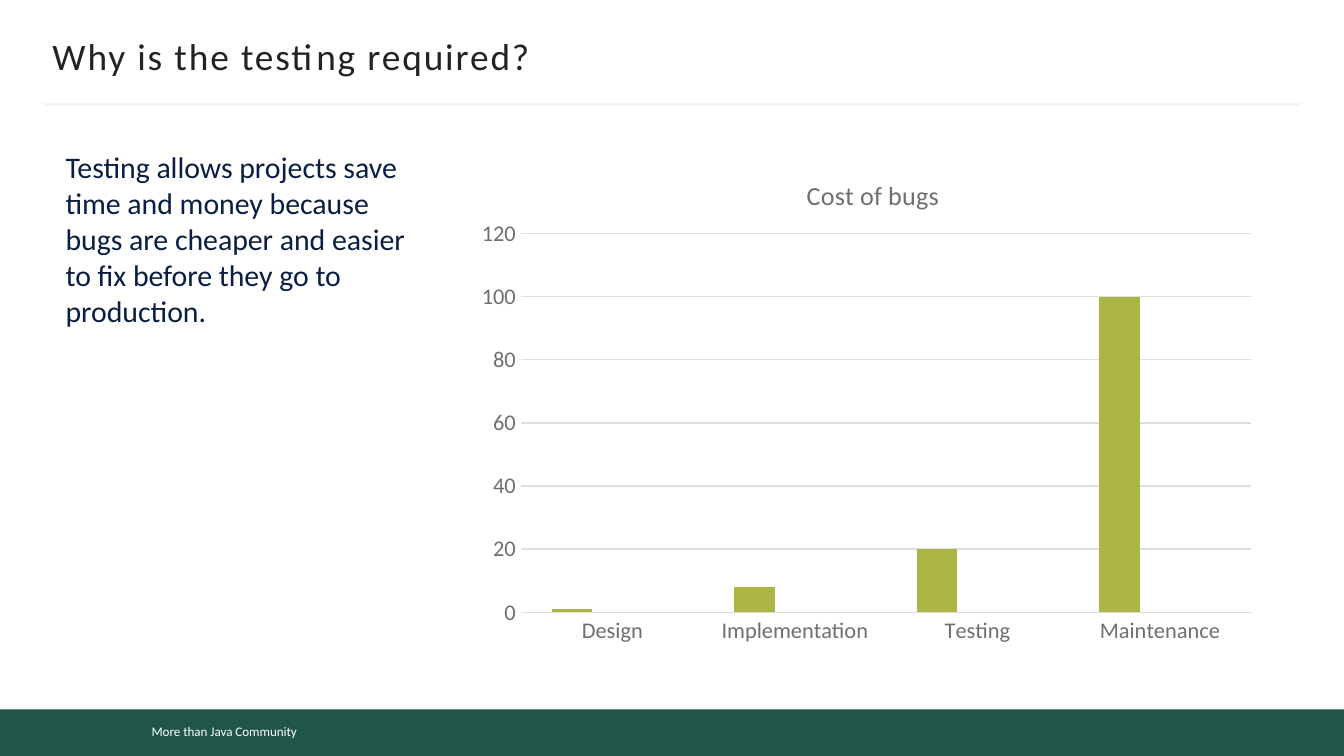
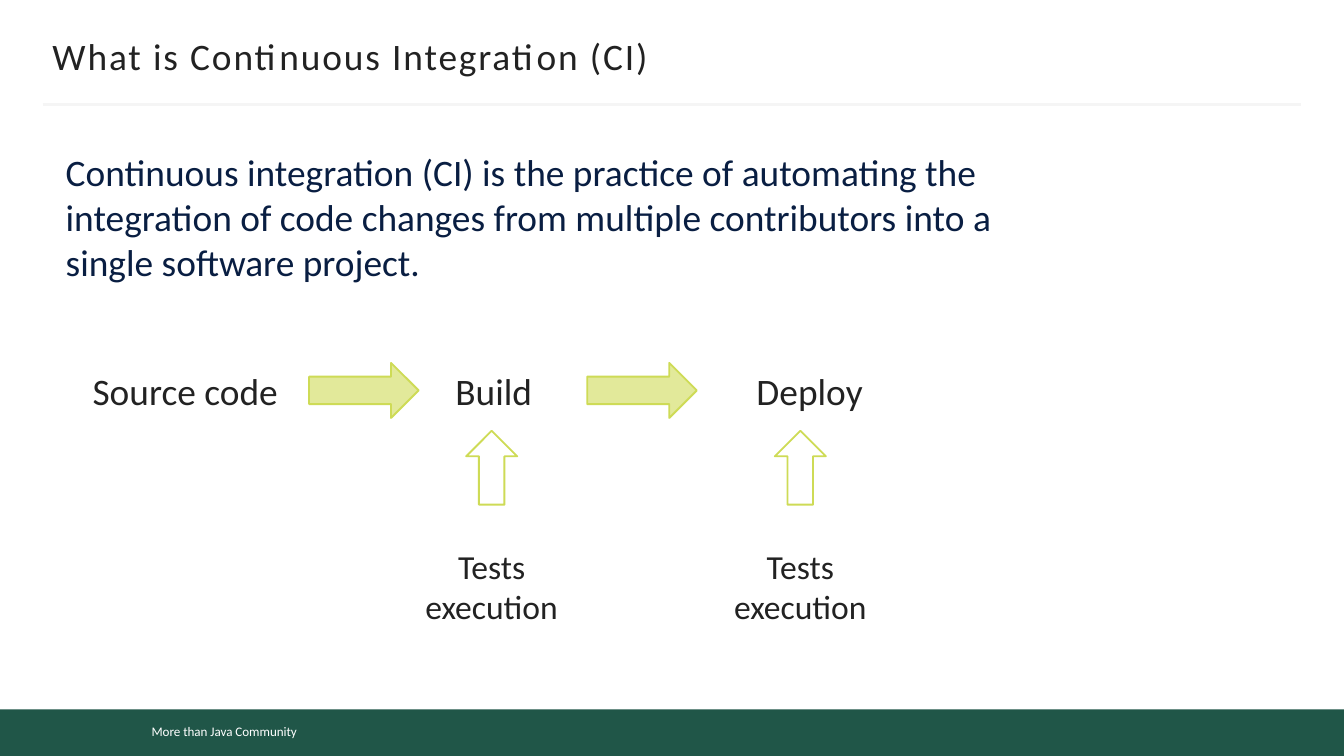
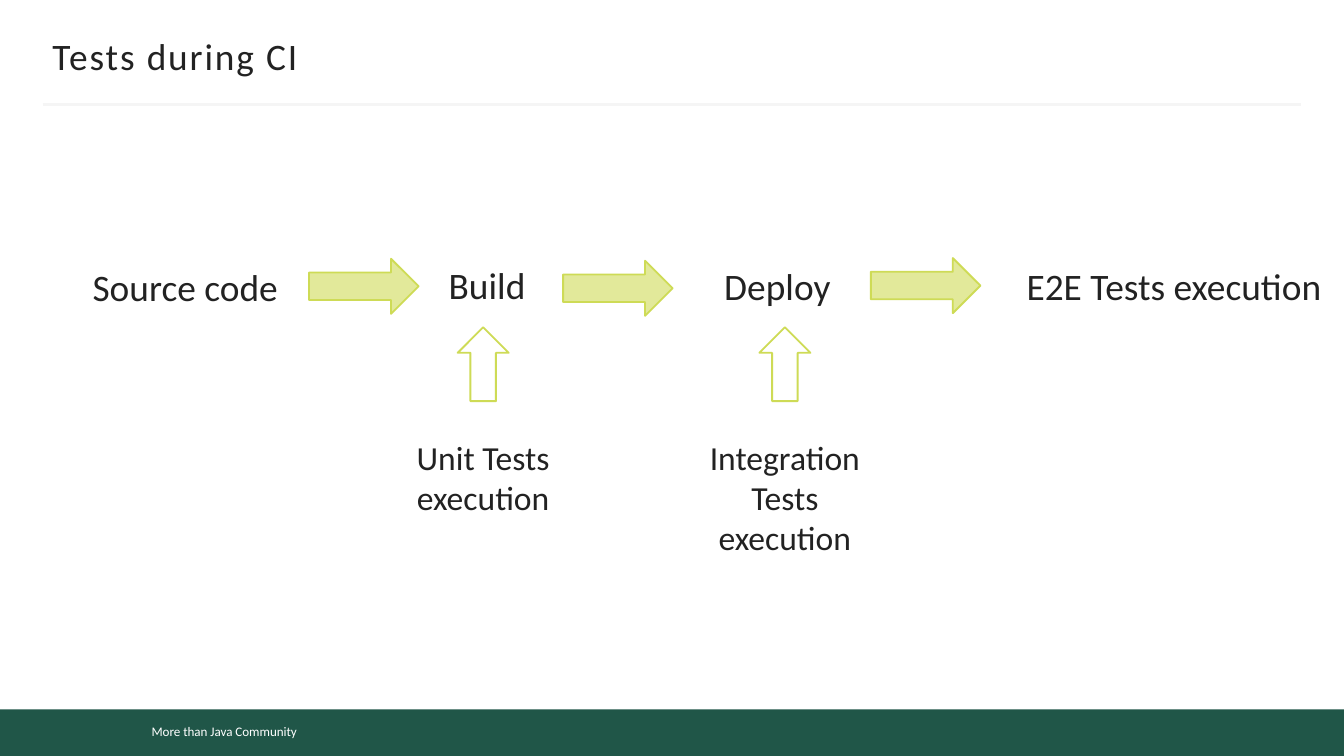
"""Build three slides on testing and continuous integration."""
from dataclasses import dataclass

from lxml.etree import SubElement
from pptx import Presentation
from pptx.chart.data import CategoryChartData as ChartData
from pptx.dml.color import RGBColor as Rgb
from pptx.enum.chart import XL_CHART_TYPE as Kind, XL_TICK_MARK as Tick
from pptx.enum.shapes import MSO_CONNECTOR as Link, MSO_SHAPE as Form
from pptx.enum.text import MSO_ANCHOR as Anchor, MSO_AUTO_SIZE as Fit, PP_ALIGN as Align
from pptx.oxml.ns import qn
from pptx.util import Pt


@dataclass(frozen=True)
class Theme:
    font: str = "Calibri"
    ink: str = "222222"
    navy: str = "091E42"
    white: str = "FFFFFF"
    band: str = "205648"
    rule: str = "F5F5F5"
    edge: str = "CEDB56"
    lime: str = "E2E99A"
    gray: str = "6F6F6F"
    grid: str = "DEDEDE"
    bars: tuple = ("ABB647", "CEDB56", "E1E8AC")
    head: int = 20
    body: int = 16
    note: int = 18
    title: int = 14
    label: int = 12
    foot: int = 7


class Deck:
    def __init__(self, theme):
        self.theme = theme
        self.show = Presentation()
        self.show.slide_width, self.show.slide_height = Pt(720), Pt(405)
        self.slide = None

    def page(self, title):
        first = self.slide is None
        layout = self.show.slide_layouts[5]
        self.slide = self.show.slides.add_slide(layout)
        if first:
            self.frame(layout)
        box = self.slide.shapes.title
        box.left, box.top, box.width, box.height = Pt(28.08), Pt(18), Pt(663.84), Pt(23.76)
        frame = box.text_frame
        frame.margin_left = frame.margin_right = 0
        frame.vertical_anchor = Anchor.MIDDLE
        self.label(frame, title, self.theme.head, self.theme.ink)
        frame.auto_size, frame.word_wrap = Fit.NONE, False
        frame.paragraphs[0].font._rPr.set("spc", "100")

    def frame(self, layout):
        look = self.theme
        band = self.shape(Form.RECTANGLE, 0, 380, 720, 25, look.band)
        foot = self.shape(Form.RECTANGLE, 74.16, 383.76, 190.8, 15.84, look.band)
        self.label(foot.text_frame, "More than Java Community", look.foot, look.white)
        rule = self.line(23.04, 56.16, 696.96, 56.16)
        for part in (band, foot, rule):
            layout.shapes.element.append(part.element)

    def style(self, font, size, color):
        font.name, font.size = self.theme.font, Pt(size)
        font.color.rgb = Rgb.from_string(color)

    def label(self, frame, words, size, color, align=Align.LEFT):
        frame.text, frame.word_wrap = words, True
        para = frame.paragraphs[0]
        para.alignment = align
        self.style(para.font, size, color)

    def text(self, words, x, y, w, h, size=None, color=None, align=Align.LEFT):
        box = self.slide.shapes.add_textbox(Pt(x), Pt(y), Pt(w), Pt(h))
        self.label(box.text_frame, words, size or self.theme.head,
                   color or self.theme.ink, align)
        box.text_frame.auto_size = Fit.SHAPE_TO_FIT_TEXT

    def shape(self, form, x, y, w, h, fill, edge=None):
        item = self.slide.shapes.add_shape(form, Pt(x), Pt(y), Pt(w), Pt(h))
        item.shadow.inherit = False
        item.fill.solid()
        item.fill.fore_color.rgb = Rgb.from_string(fill)
        if edge:
            item.line.color.rgb, item.line.width = Rgb.from_string(edge), Pt(1)
        else:
            item.line.fill.background()
        return item

    def line(self, x, y, right, low):
        item = self.slide.shapes.add_connector(Link.STRAIGHT, Pt(x), Pt(y), Pt(right), Pt(low))
        item.line.color.rgb, item.line.width = Rgb.from_string(self.theme.rule), Pt(1.5)
        SubElement(item.element.spPr, qn("a:effectLst"))
        return item

    def step(self, words, x, y, w=123.12):
        self.text(words, x, y, w, 31.68)

    def arrow(self, x, y):
        self.shape(Form.RIGHT_ARROW, x, y, 58.68, 29.52, self.theme.lime, self.theme.edge)

    def check(self, words, mid, y, gap, h=51.12):
        wide, high, span = 39.6, 27.36, 123.12
        item = self.shape(Form.RIGHT_ARROW, mid - wide / 2, y, wide, high,
                          self.theme.white, self.theme.edge)
        item.rotation = 270
        self.text(words, mid - span / 2, y + gap, span, h, self.theme.note, align=Align.CENTER)

    def place(self, host, index, **spots):
        for old in host.findall(qn("c:layout")):
            host.remove(old)
        layout = host.makeelement(qn("c:layout"))
        host.insert(index, layout)
        manual = SubElement(layout, qn("c:manualLayout"))
        if "w" in spots:
            SubElement(manual, qn("c:layoutTarget")).set("val", "inner")
        for key in ("x", "y"):
            SubElement(manual, qn(f"c:{key}Mode")).set("val", "edge")
        for key, spot in spots.items():
            SubElement(manual, qn(f"c:{key}")).set("val", str(spot))

    def chart(self, title, names, rows, x, y, w, h):
        look = self.theme
        data = ChartData()
        data.categories = names
        for name, row in rows.items():
            data.add_series(name, row)
        chart = self.slide.shapes.add_chart(
            Kind.COLUMN_CLUSTERED, Pt(x), Pt(y), Pt(w), Pt(h), data).chart
        self.style(chart.font, look.label, look.ink)
        chart.has_legend = False
        head = chart.chart_title
        head.text_frame.text = title
        para = head.text_frame.paragraphs[0]
        self.style(para.font, look.title, look.gray)
        para.font.bold = False
        self.place(head.element, 1, x=0.42, y=0.05)
        area = next(chart.element.iter(qn("c:plotArea")))
        self.place(area, 0, x=0.07, y=0.17, w=0.91, h=0.74)
        for axis in (chart.category_axis, chart.value_axis):
            axis.major_tick_mark = axis.minor_tick_mark = Tick.NONE
            axis.format.line.fill.background()
            self.style(axis.tick_labels.font, look.label, look.gray)
        scale = chart.value_axis
        scale.minimum_scale, scale.maximum_scale, scale.major_unit = 0, 120, 20
        grid = scale.major_gridlines.format.line
        grid.color.rgb, grid.width = Rgb.from_string(look.grid), Pt(0.75)
        plot = chart.plots[0]
        plot.gap_width, plot.overlap, plot.vary_by_categories = 150, 0, False
        for row, color in zip(plot.series, look.bars):
            row.format.fill.solid()
            row.format.fill.fore_color.rgb = Rgb.from_string(color)


def main():
    look = Theme()
    deck = Deck(look)

    deck.page("Why is the testing required?")
    deck.text("Testing allows projects save time and money because bugs are cheaper "
              "and easier to fix before they go to production.",
              28.08, 76.32, 206.64, 104.4, look.body, look.navy)
    blank = [None] * 4
    deck.chart("Cost of bugs", ["Design", "Implementation", "Testing", "Maintenance"],
               {"Series 1": [1, 8, 20, 100], "Series 2": blank, "Series 3": blank},
               249.12, 78.48, 429.84, 274.32)

    deck.page("What is Continuous Integration (CI)")
    deck.text("Continuous integration (CI) is the practice of automating the integration "
              "of code changes from multiple contributors into a single software project.",
              28.08, 76.32, 519.84, 79.92, color=look.navy)
    for words, x in (("Source code", 42.48), ("Build", 236.88), ("Deploy", 398.16)):
        deck.step(words, x, 193.68)
    for x in (165.6, 314.64):
        deck.arrow(x, 194.4)
    for mid in (263.4, 428.76):
        deck.check("Tests execution", mid, 236.88, 51.84)

    deck.page("Tests during CI")
    for words, x, y in (("Source code", 42.48, 137.9), ("Build", 233.28, 136.8),
                        ("Deploy", 380.88, 137.52)):
        deck.step(words, x, y)
    deck.step("E2E Tests execution", 542.88, 137.52, 211.68)
    for x, y in ((165.6, 138.6), (301.68, 139.68), (466.56, 138.24)):
        deck.arrow(x, y)
    deck.check("Unit Tests execution", 258.84, 181.44, 48.96)
    deck.check("Integration Tests execution", 420.48, 181.44, 48.96, 72.72)

    deck.show.save("out.pptx")


if __name__ == "__main__":
    main()
